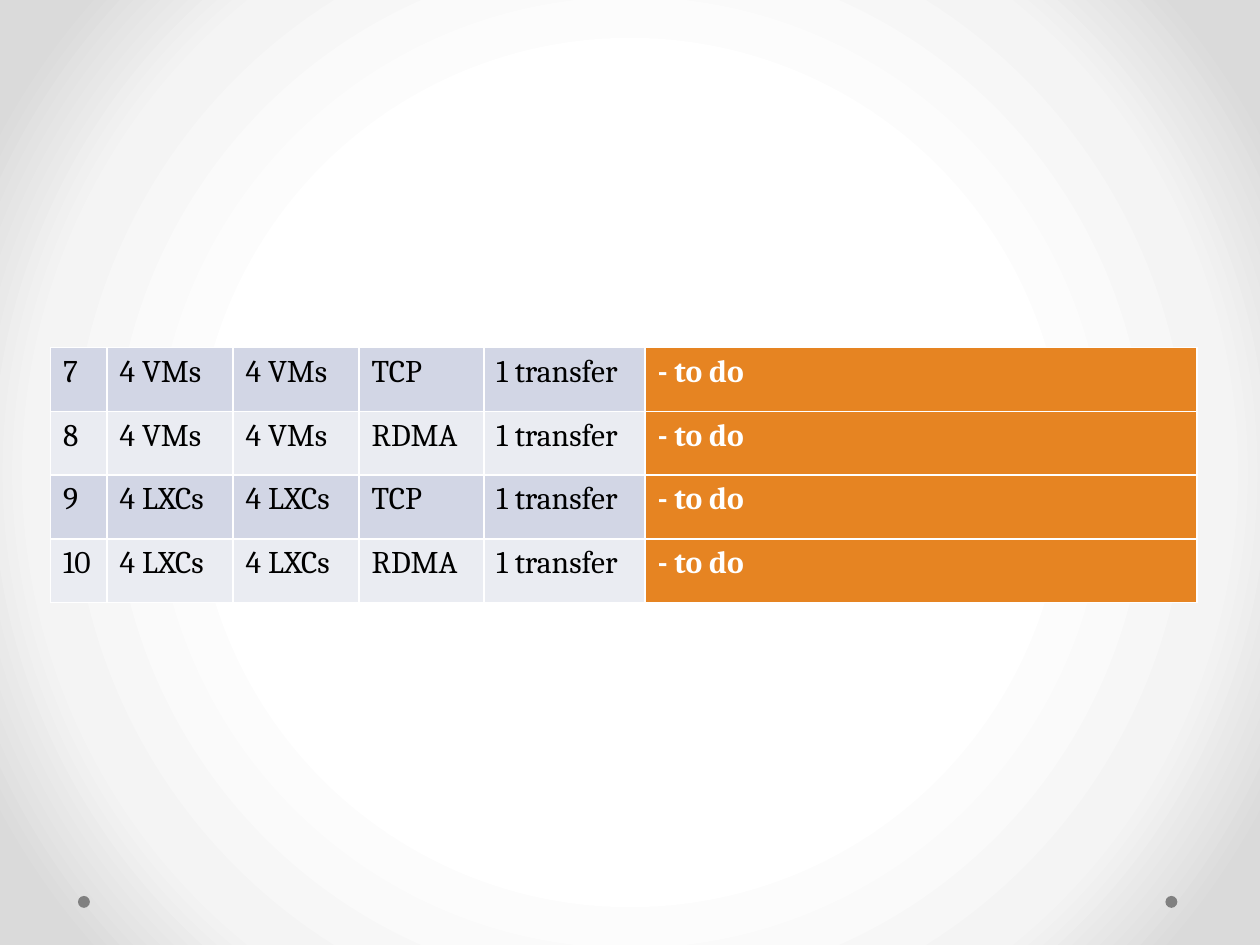
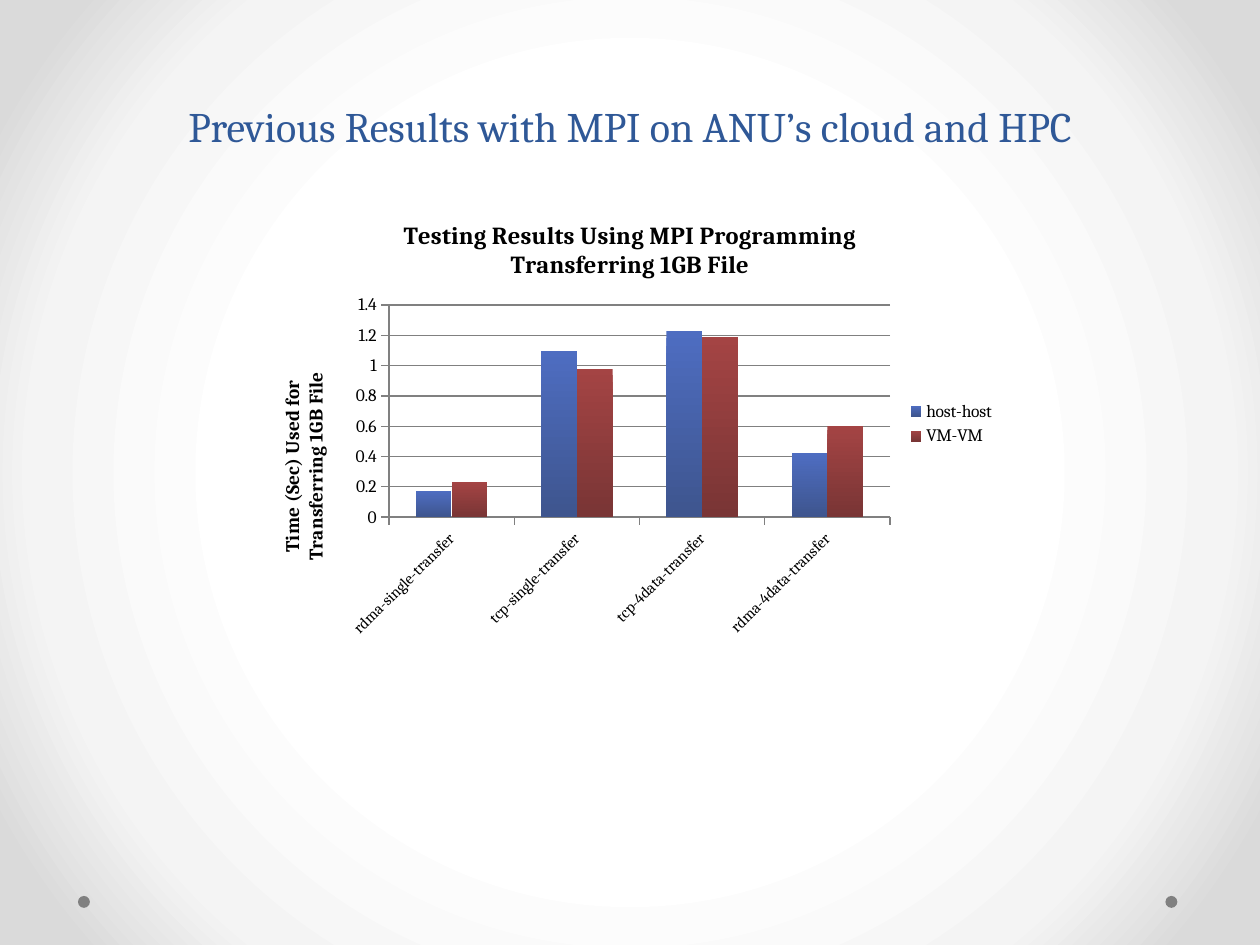
from typing import NamedTuple

from pptx import Presentation
from pptx.chart.data import CategoryChartData
from pptx.dml.color import RGBColor
from pptx.enum.chart import XL_CHART_TYPE, XL_LEGEND_POSITION, XL_TICK_MARK
from pptx.enum.shapes import MSO_SHAPE
from pptx.enum.text import MSO_ANCHOR, MSO_AUTO_SIZE, PP_ALIGN
from pptx.oxml import parse_xml
from pptx.oxml.ns import nsdecls
from pptx.util import Pt

FONT = "Cambria"
BLACK = RGBColor(0x00, 0x00, 0x00)
WHITE = RGBColor(0xFF, 0xFF, 0xFF)
GREY = RGBColor(0x80, 0x80, 0x80)
NAVY = RGBColor(0x2F, 0x58, 0x97)
ORANGE = RGBColor(0xE6, 0x84, 0x22)
BANDS = (RGBColor(0xD2, 0xD6, 0xE5), RGBColor(0xEA, 0xEC, 0xF2))
BACKGROUND_STOPS = (
    (50, WHITE),
    (76, RGBColor(0xF4, 0xF4, 0xF4)),
    (92, RGBColor(0xDA, 0xDA, 0xDA)),
)
TITLE_ONLY, BLANK = 5, 6
DOT_LEFTS = (666, 44.6)
DOT_TOP, DOT_SIZE = 512, 6.8

COLUMN_WIDTHS = (32.4, 72, 72, 71.3, 92.2, 315.3)
ROW_HEIGHT = 36.4
CATEGORIES = (
    "rdma-single-transfer",
    "tcp-single-transfer",
    "tcp-4data-transfer",
    "rdma-4data-transfer",
)


class Trial(NamedTuple):
    number: int
    machines: str
    protocol: str

    def cells(self) -> tuple[str, ...]:
        return (str(self.number), self.machines, self.machines,
                self.protocol, "1 transfer", "- to do")


class Timing(NamedTuple):
    name: str
    seconds: tuple[float, ...]
    top_color: RGBColor
    bottom_color: RGBColor


TRIALS = (
    Trial(7, "4 VMs", "TCP"),
    Trial(8, "4 VMs", "RDMA"),
    Trial(9, "4 LXCs", "TCP"),
    Trial(10, "4 LXCs", "RDMA"),
)
TIMINGS = (
    Timing("host-host", (0.17, 1.1, 1.23, 0.42),
           RGBColor(0x4E, 0x6D, 0xC1), RGBColor(0x3E, 0x55, 0x8E)),
    Timing("VM-VM", (0.23, 0.98, 1.19, 0.6),
           RGBColor(0xA4, 0x44, 0x44), RGBColor(0x79, 0x35, 0x35)),
)


def style_font(font, size: float, color: RGBColor = BLACK, bold: bool = False) -> None:
    font.name = FONT
    font.size = Pt(size)
    font.bold = bold
    font.color.rgb = color


def add_span(para, text: str, size: float, color: RGBColor = BLACK, bold: bool = False) -> None:
    span = para.add_run()
    span.text = text
    style_font(span.font, size, color, bold)


def set_background(master) -> None:
    stops = "".join(
        f'<a:gs pos="{percent * 1000}"><a:srgbClr val="{color}"/></a:gs>'
        for percent, color in BACKGROUND_STOPS
    )
    gradient = parse_xml(
        f'<a:gradFill {nsdecls("a")} rotWithShape="1"><a:gsLst>{stops}</a:gsLst>'
        '<a:path path="circle"><a:fillToRect l="50000" t="50000" r="50000" b="50000"/>'
        "</a:path></a:gradFill>"
    )
    master.background.fill.solid()
    properties = master.element.cSld.bg.bgPr
    properties.replace(properties[0], gradient)


def add_master_dots(page, master) -> None:
    """Draw the dots on a page, then move them to the master all pages share."""
    for left in DOT_LEFTS:
        dot = page.shapes.add_shape(
            MSO_SHAPE.OVAL, Pt(left), Pt(DOT_TOP), Pt(DOT_SIZE), Pt(DOT_SIZE))
        dot.shadow.inherit = False
        dot.fill.solid()
        dot.fill.fore_color.rgb = GREY
        dot.line.fill.background()
        master.element.cSld.spTree.append(dot.element)


def add_borders(cell) -> None:
    properties = cell._tc.get_or_add_tcPr()
    for side in "LRTB":
        properties.append(parse_xml(
            f'<a:ln{side} {nsdecls("a")} w="{Pt(1)}"><a:solidFill>'
            f'<a:srgbClr val="{WHITE}"/></a:solidFill></a:ln{side}>'))


def add_trial_table(page) -> None:
    table = page.shapes.add_table(
        len(TRIALS), len(COLUMN_WIDTHS), Pt(28.8), Pt(198.7),
        Pt(sum(COLUMN_WIDTHS)), Pt(ROW_HEIGHT * len(TRIALS))).table
    table.first_row = table.horz_banding = False
    for column, width in zip(table.columns, COLUMN_WIDTHS):
        column.width = Pt(width)
    for index, (row, trial) in enumerate(zip(table.rows, TRIALS)):
        row.height = Pt(ROW_HEIGHT)
        band = BANDS[index % 2]
        for position, (cell, text) in enumerate(zip(row.cells, trial.cells())):
            is_status = position == len(COLUMN_WIDTHS) - 1
            add_borders(cell)
            cell.fill.solid()
            cell.fill.fore_color.rgb = ORANGE if is_status else band
            add_span(cell.text_frame.paragraphs[0], text, 18,
                     WHITE if is_status else BLACK, is_status)


def set_title(page, text: str) -> None:
    title = page.shapes.title
    title.left, title.top, title.width, title.height = Pt(36), Pt(0), Pt(648), Pt(90)
    frame = title.text_frame
    frame.auto_size = MSO_AUTO_SIZE.NONE
    frame.vertical_anchor = MSO_ANCHOR.BOTTOM
    para = frame.paragraphs[0]
    para.alignment = PP_ALIGN.CENTER
    para.line_spacing = Pt(58)
    add_span(para, text, 24, NAVY)


def fill_chart_title(frame, lines: tuple[str, ...], size: float) -> None:
    for index, line in enumerate(lines):
        para = frame.add_paragraph() if index else frame.paragraphs[0]
        add_span(para, line, size, bold=True)


def rotate_chart_text(chart, query: str, degrees: int) -> None:
    body = chart.element.xpath(query)[0]
    body.set("rot", str(degrees * 60000))
    body.set("vert", "horz")


def add_timing_chart(page) -> None:
    data = CategoryChartData()
    data.categories = CATEGORIES
    for timing in TIMINGS:
        data.add_series(timing.name, timing.seconds)
    chart = page.shapes.add_chart(
        XL_CHART_TYPE.COLUMN_CLUSTERED, Pt(144), Pt(114.5), Pt(432), Pt(255), data).chart
    style_font(chart.font, 10)

    chart.has_title = True
    fill_chart_title(chart.chart_title.text_frame,
                     ("Testing Results Using MPI Programming", "Transferring 1GB File"), 14)
    chart.has_legend = True
    chart.legend.position = XL_LEGEND_POSITION.RIGHT
    chart.legend.include_in_layout = False
    style_font(chart.legend.font, 10)

    values, categories = chart.value_axis, chart.category_axis
    values.has_title = True
    fill_chart_title(values.axis_title.text_frame,
                     ("Time (Sec) Used for", "Transferring 1GB File"), 11)
    values.minimum_scale, values.maximum_scale, values.major_unit = 0, 1.4, 0.2
    values.has_major_gridlines = True
    values.major_gridlines.format.line.color.rgb = GREY
    values.tick_labels.number_format = "General"
    values.tick_labels.number_format_is_linked = False
    for axis, size in ((values, 10), (categories, 9)):
        axis.major_tick_mark = XL_TICK_MARK.OUTSIDE
        axis.format.line.color.rgb = GREY
        style_font(axis.tick_labels.font, size)
    rotate_chart_text(chart, "//c:valAx/c:title//a:bodyPr", -90)
    rotate_chart_text(chart, "//c:catAx/c:txPr/a:bodyPr", -45)

    plot = chart.plots[0]
    plot.gap_width = 150
    plot.overlap = 0
    plot.vary_by_categories = False
    for series, timing in zip(plot.series, TIMINGS):
        fill = series.format.fill
        fill.gradient()
        fill.gradient_angle = 270
        for stop, color in zip(fill.gradient_stops, (timing.top_color, timing.bottom_color)):
            stop.color.rgb = color


def main() -> None:
    deck = Presentation()
    deck.slide_width, deck.slide_height = Pt(720), Pt(540)
    set_background(deck.slide_master)

    trials_page = deck.slides.add_slide(deck.slide_layouts[BLANK])
    add_master_dots(trials_page, deck.slide_master)
    add_trial_table(trials_page)

    results_page = deck.slides.add_slide(deck.slide_layouts[TITLE_ONLY])
    set_title(results_page, "Previous Results with MPI on ANU’s cloud and HPC")
    add_timing_chart(results_page)

    deck.save("out.pptx")


if __name__ == "__main__":
    main()
